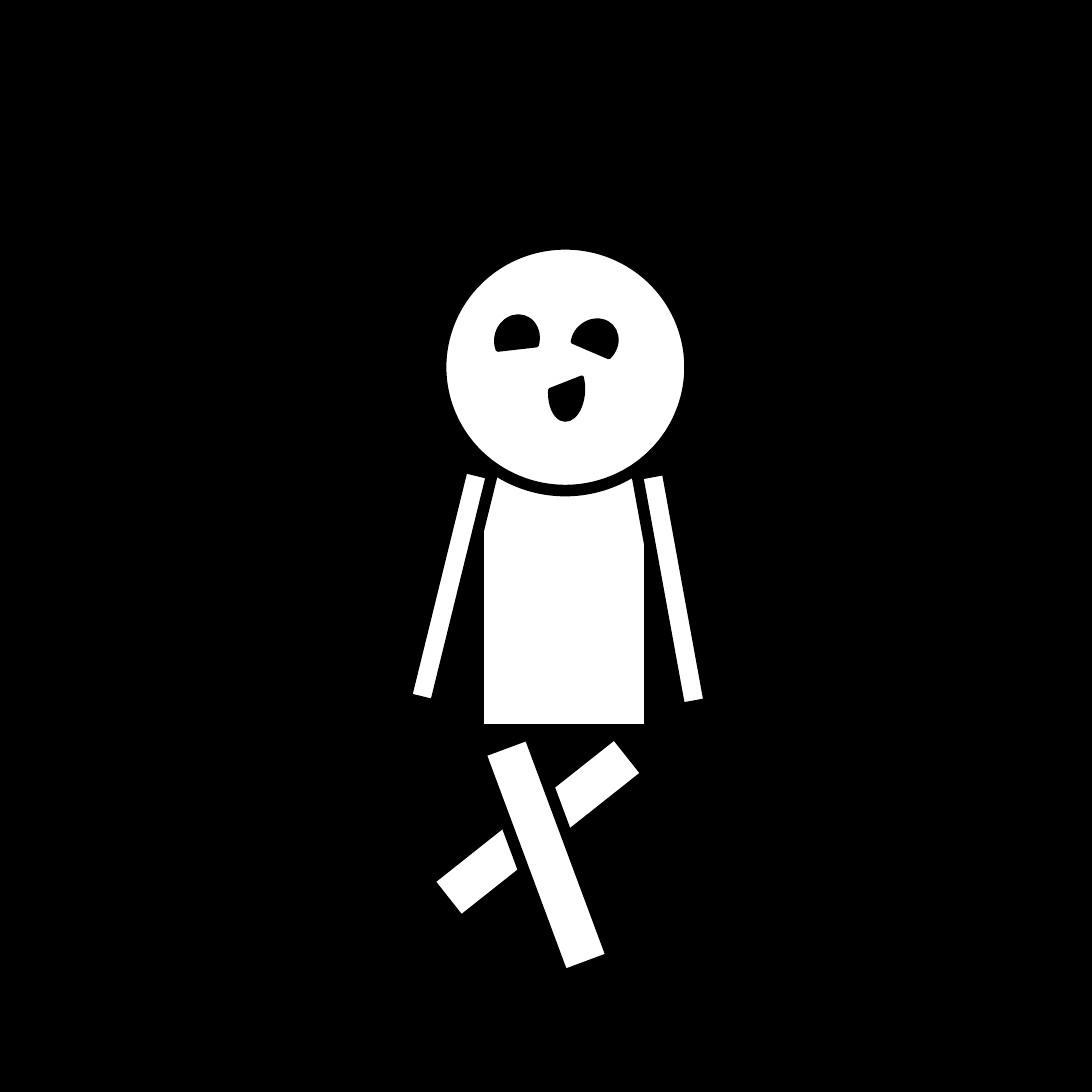
from pptx import Presentation
from pptx.dml.color import RGBColor
from pptx.enum.shapes import MSO_SHAPE
from pptx.util import Inches, Pt

SIDE = Inches(3.94)
BLACK, WHITE = "000000", "FFFFFF"
EYE = (4.31, 3.81)
ARM = (21.83, 2.79)
LEG = (21.83, 4.82)


def paint(fill, colour):
    fill.solid()
    fill.fore_color.rgb = RGBColor.from_string(colour)


def share(percent):
    return round(SIDE * percent / 100)


class Figure:
    """Draws a figure's pieces, placed by centre and size in percent of the slide's side."""

    def __init__(self, page):
        self.page = page
        paint(page.background.fill, BLACK)

    def draw(self, kind, centre, size, turn=0, colour=WHITE, weight=3):
        (x, y), (width, height) = centre, size
        shape = self.page.shapes.add_shape(
            kind, share(x - width / 2), share(y - height / 2), share(width), share(height))
        shape.rotation = turn
        shape.shadow.inherit = False
        paint(shape.fill, colour)
        paint(shape.line.fill, BLACK)
        shape.line.width = Pt(weight)

    def torso(self, centre, size):
        self.draw(MSO_SHAPE.RECTANGLE, centre, size, weight=1)

    def head(self, centre, size):
        self.draw(MSO_SHAPE.OVAL, centre, size)

    def feature(self, centre, size, turn):
        self.draw(MSO_SHAPE.CHORD, centre, size, turn, BLACK, 1)

    def limb(self, centre, size, turn):
        self.draw(MSO_SHAPE.RECTANGLE, centre, size, turn)


def main():
    deck = Presentation()
    deck.slide_width = deck.slide_height = SIDE
    figure = Figure(deck.slides.add_slide(deck.slide_layouts[6]))

    figure.torso((51.65, 54.57), (14.97, 23.86))
    figure.head((51.78, 33.63), (22.84, 22.59))
    for centre, turn in [((47.34, 31.09), 106.7), ((54.44, 31.35), 136.4)]:
        figure.feature(centre, EYE, turn)
    for centre, turn in [((41.12, 53.68), 283.8), ((61.68, 53.93), 259.7)]:
        figure.limb(centre, ARM, turn)
    for centre, turn in [((49.24, 75.76), 141.6), ((50, 78.3), 69.6)]:
        figure.limb(centre, LEG, turn)
    figure.feature((51.9, 35.79), (5.33, 3.05), 273.4)

    deck.save("out.pptx")


if __name__ == "__main__":
    main()
